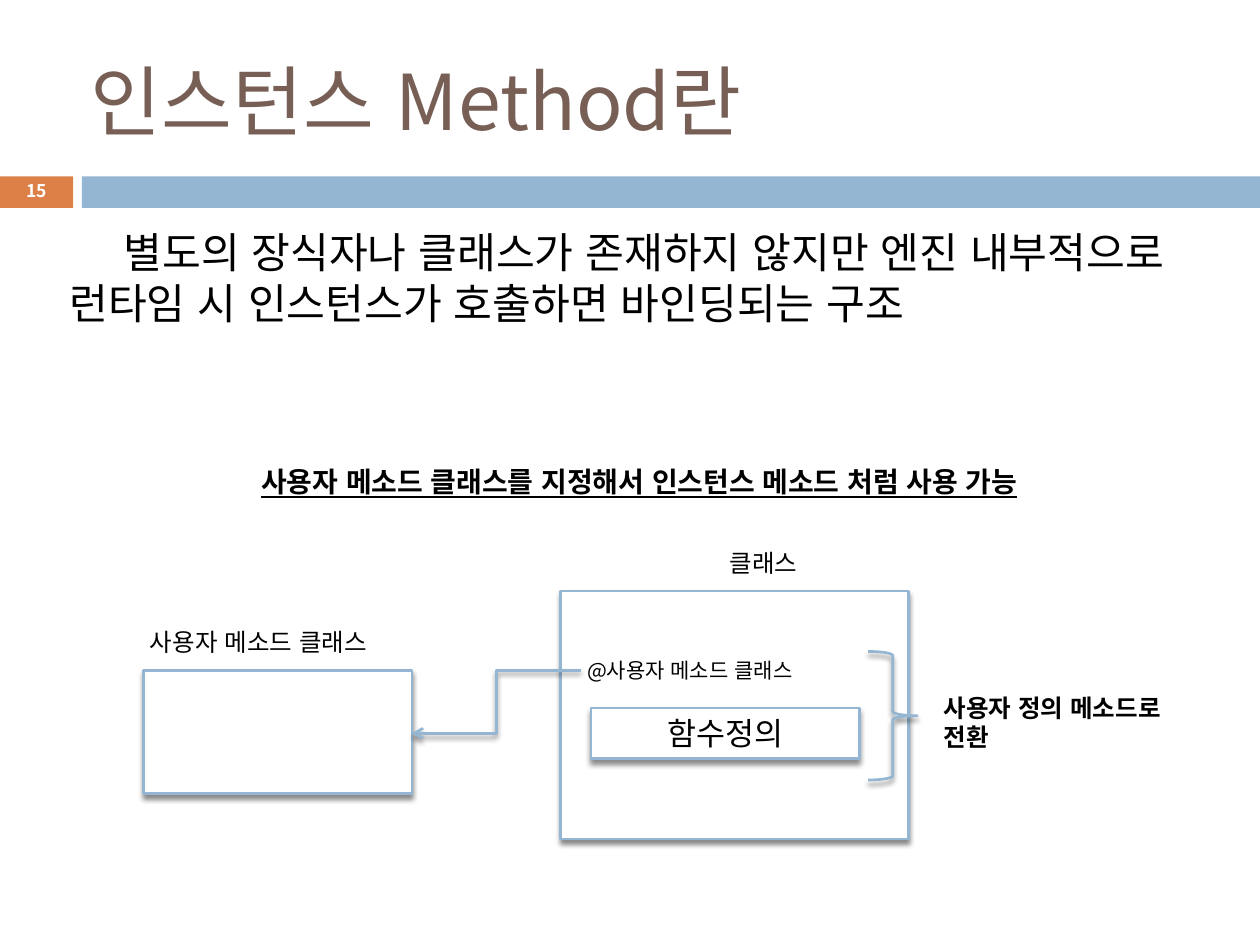
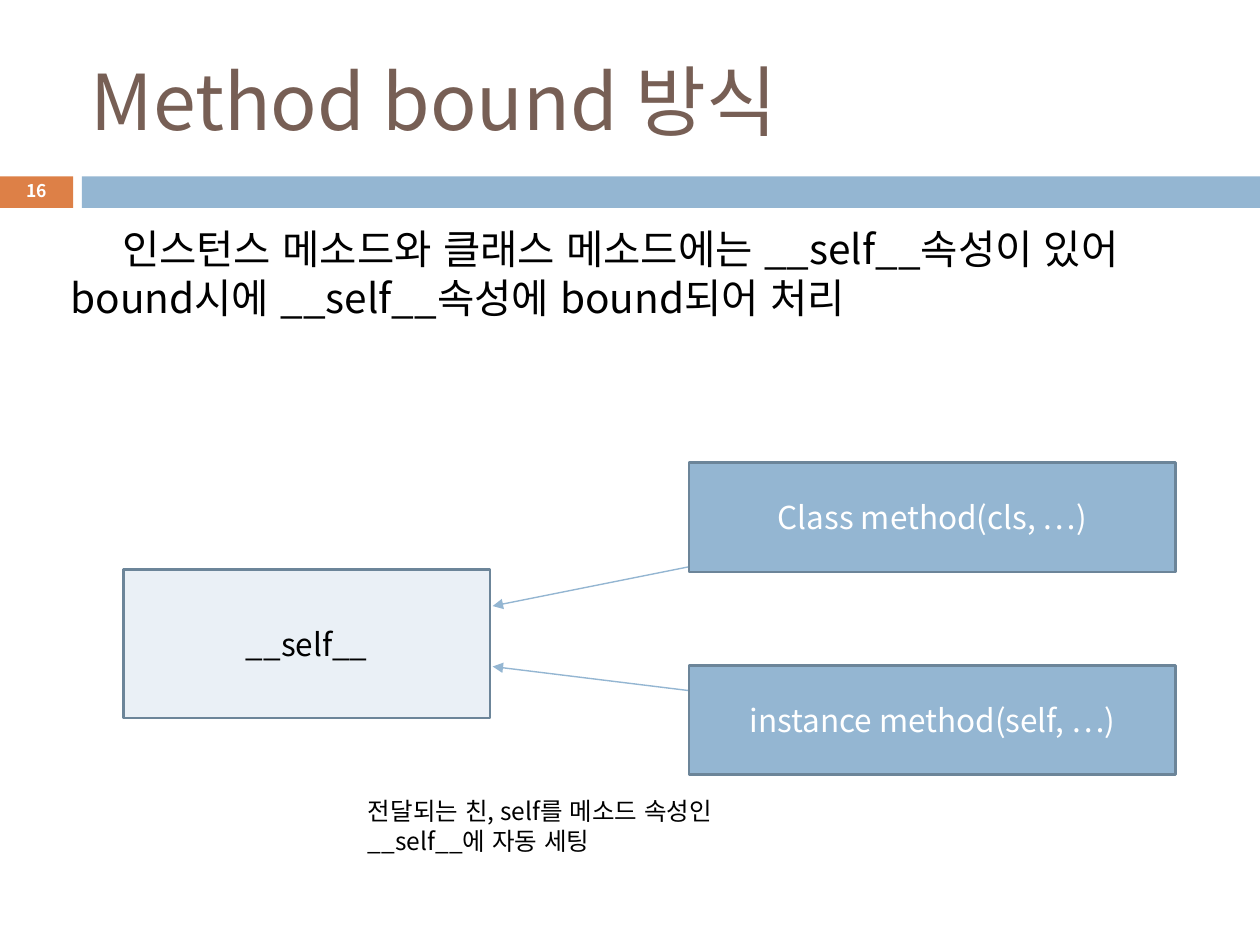
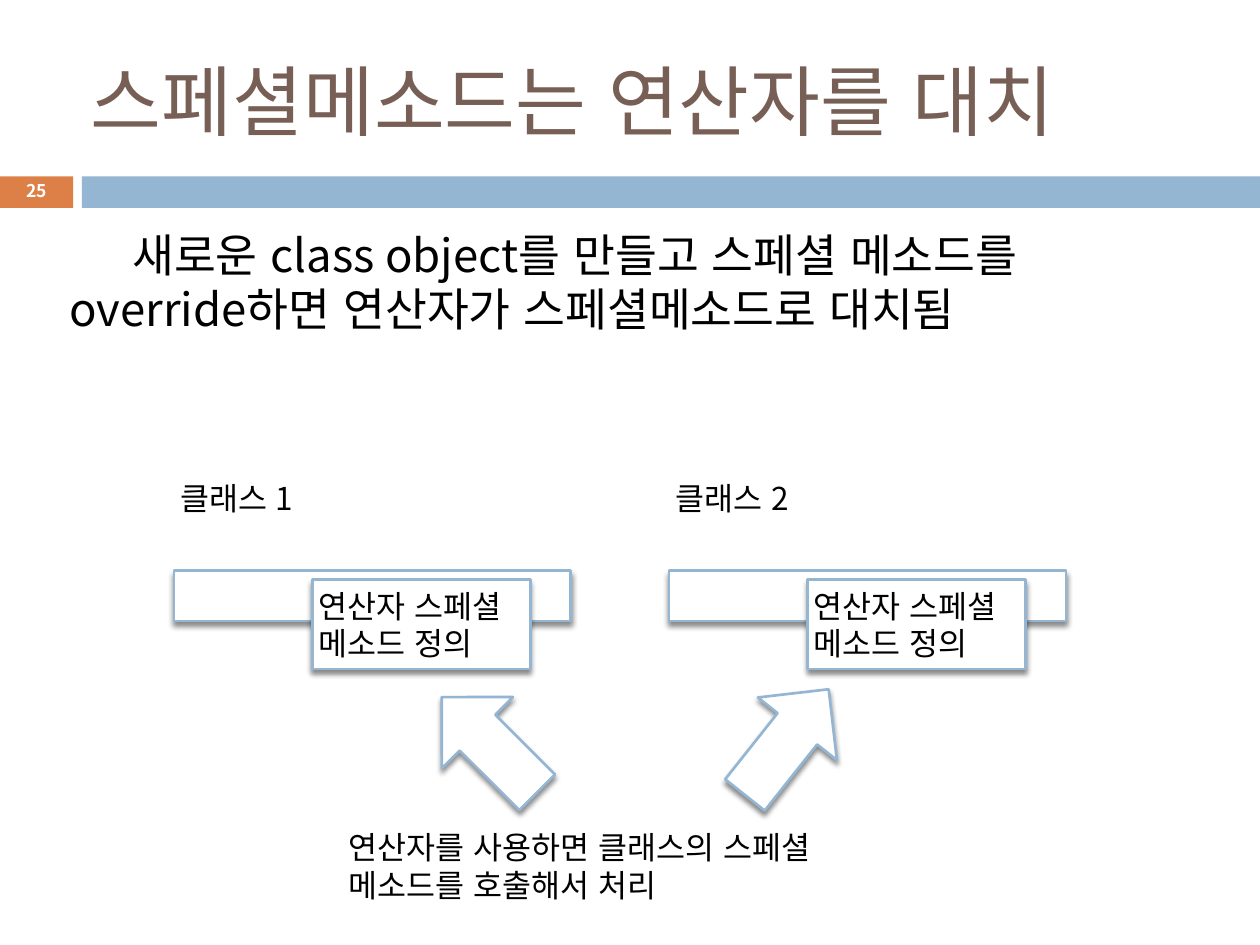
"""Build three slides on instance, bound and special methods."""
from dataclasses import dataclass

from lxml.etree import SubElement
from pptx import Presentation
from pptx.dml.color import RGBColor
from pptx.enum.lang import MSO_LANGUAGE_ID
from pptx.enum.shapes import MSO_CONNECTOR, MSO_SHAPE
from pptx.enum.text import MSO_ANCHOR, MSO_AUTO_SIZE, PP_ALIGN
from pptx.oxml.ns import qn
from pptx.util import Inches, Pt

COLS, ROWS = 100, 75


@dataclass(frozen=True)
class Theme:
    """Colours, fonts and type sizes of the deck."""
    blue: str = "94B6D2"
    edge: str = "6C8599"
    pale: str = "EAF0F6"
    orange: str = "DD8047"
    brown: str = "775F55"
    black: str = "000000"
    white: str = "FFFFFF"
    sans: str = "Noto Sans CJK KR"
    mono: str = "Noto Sans Mono"
    title: float = 44
    large: float = 18
    mid: float = 16
    note: float = 14
    small: float = 12
    number: float = 10
    stroke: float = 1.5
    thin: float = 0.79


THEME = Theme()


def write(frame, text, size=THEME.large, color=THEME.black, font=THEME.sans,
          bold=False, under=False, align=PP_ALIGN.LEFT, anchor=MSO_ANCHOR.TOP,
          wrap=True, indent=0, before=0, leading=1):
    """Put one formatted paragraph into a text frame."""
    frame.auto_size = MSO_AUTO_SIZE.NONE
    frame.word_wrap = wrap
    frame.vertical_anchor = anchor
    frame.margin_left = frame.margin_right = Inches(0.05)
    frame.margin_top = frame.margin_bottom = Inches(0.05)
    para = frame.paragraphs[0]
    para.alignment = align
    para.line_spacing = leading
    para.space_before = Pt(before)
    if indent:
        props = para._p.get_or_add_pPr()
        props.set("marL", "0")
        props.set("indent", str(Inches(indent)))
    run = para.add_run()
    run.text = text
    style = run.font
    style.size, style.bold, style.underline = Pt(size), bold, under
    style.color.rgb = RGBColor.from_string(color)
    style.language_id = MSO_LANGUAGE_ID.KOREAN
    style.name = font
    SubElement(run._r.get_or_add_rPr(), qn("a:ea"), typeface=font)


def shade(shape, on):
    """Replace the theme shadow by a soft drop shadow or by none."""
    effects = SubElement(shape.element.spPr, qn("a:effectLst"))
    if on:
        cast = SubElement(effects, qn("a:outerShdw"), blurRad=str(Pt(3)),
                          dist=str(Pt(2.4)), dir="5400000", rotWithShape="0")
        tint = SubElement(cast, qn("a:srgbClr"), val=THEME.black)
        SubElement(tint, qn("a:alpha"), val="45000")


class Deck:
    """Hold the style and the current slide."""

    def __init__(self, theme):
        """Start an empty deck with the given theme."""
        self.theme = theme
        self.show = Presentation()
        self.show.slide_width, self.show.slide_height = Inches(10), Inches(7.5)
        self.slide = None

    def place(self, col, row, *span):
        """Turn grid columns and rows into lengths."""
        wide, high = self.show.slide_width / COLS, self.show.slide_height / ROWS
        units = (wide, high) * 2
        return [round(n * unit) for n, unit in zip((col, row, *span), units)]

    def start(self, title, number):
        """Add a slide with its title, bands and number."""
        self.slide = self.show.slides.add_slide(self.show.slide_layouts[5])
        self.box(0, 14, 5.8, 2.5, fill=self.theme.orange, line=None, shadow=False)
        self.box(6.5, 14, 93.5, 2.5, fill=self.theme.blue, line=None, shadow=False)
        head = self.slide.shapes.title
        head.left, head.top, head.width, head.height = self.place(6.7, 2.5, 89.2, 10.8)
        write(head.text_frame, title, size=self.theme.title,
              color=self.theme.brown, anchor=MSO_ANCHOR.MIDDLE)
        self.text(number, 1.4, 13.9, 3, 2.7, size=self.theme.number,
                  color=self.theme.white, bold=True, align=PP_ALIGN.CENTER,
                  anchor=MSO_ANCHOR.MIDDLE, wrap=False, leading=0.8)

    def text(self, words, col, row, wide, high, **style):
        """Add a text box."""
        area = self.slide.shapes.add_textbox(*self.place(col, row, wide, high))
        write(area.text_frame, words, **style)

    def box(self, col, row, wide, high, words="", kind=MSO_SHAPE.RECTANGLE,
            fill=THEME.white, line=THEME.blue, shadow=True, turn=0, **style):
        """Add a preset shape, with text in its middle if given."""
        shape = self.slide.shapes.add_shape(kind, *self.place(col, row, wide, high))
        shape.rotation = turn
        if fill:
            shape.fill.solid()
            shape.fill.fore_color.rgb = RGBColor.from_string(fill)
        else:
            shape.fill.background()
        if line:
            shape.line.color.rgb = RGBColor.from_string(line)
            shape.line.width = Pt(self.theme.stroke)
        else:
            shape.line.fill.background()
        shade(shape, shadow)
        if words:
            write(shape.text_frame, words, anchor=MSO_ANCHOR.MIDDLE, **style)

    def arrow(self, start, end, kind=MSO_CONNECTOR.STRAIGHT, tip="triangle",
              width=THEME.thin, shadow=False):
        """Add a connector with an arrowhead at its end."""
        link = self.slide.shapes.add_connector(
            kind, *self.place(*start), *self.place(*end))
        link.line.color.rgb = RGBColor.from_string(self.theme.blue)
        link.line.width = Pt(width)
        SubElement(link.element.spPr.find(qn("a:ln")), qn("a:tailEnd"), type=tip)
        shade(link, shadow)


def instance(deck):
    """Draw the slide on instance methods."""
    theme = deck.theme
    deck.start("인스턴스 Method란", "15")
    deck.text("별도의 장식자나 클래스가 존재하지 않지만 엔진 내부적으로 "
              "런타임 시 인스턴스가 호출하면 바인딩되는 구조",
              5, 17.5, 90, 16.9, size=24.1, indent=0.43, before=4)
    deck.box(11.4, 53.2, 21.3, 9.8)
    deck.text("사용자 메소드 클래스", 11.4, 49.3, 22, 3.4, size=theme.note)
    deck.box(44.5, 46.9, 27.6, 19.7)
    deck.text("클래스", 53.1, 43, 15, 3.4, size=theme.note, align=PP_ALIGN.CENTER)
    deck.box(46.9, 56.2, 21.3, 4, "함수정의", font=theme.mono,
             align=PP_ALIGN.CENTER)
    deck.text("@사용자 메소드 클래스", 46.1, 51.7, 24.4, 3, size=theme.small)
    deck.arrow((46.1, 53.2), (32.7, 58.2), MSO_CONNECTOR.ELBOW, "arrow",
               theme.stroke, shadow=True)
    deck.box(68.9, 51.7, 3.9, 10.2, kind=MSO_SHAPE.RIGHT_BRACE, fill=None)
    deck.text("사용자 정의 메소드로 전환", 74.4, 54.5, 18.9, 5.7,
              size=theme.note, bold=True)
    deck.text("사용자 메소드 클래스를 지정해서 인스턴스 메소드 처럼 사용 가능",
              10.6, 36.4, 80.3, 3.7, size=theme.mid, bold=True, under=True,
              align=PP_ALIGN.CENTER)


def bound(deck):
    """Draw the slide on method binding."""
    theme = deck.theme
    deck.start("Method bound 방식", "16")
    deck.text("인스턴스 메소드와 클래스 메소드에는 __self__속성이 있어 "
              "bound시에 __self__속성에 bound되어 처리",
              5.1, 17.3, 90, 10, size=23.2, indent=0.41, before=4)
    deck.box(9.8, 45.2, 29.1, 11.8, "__self__", fill=theme.pale,
             line=theme.edge, shadow=False, align=PP_ALIGN.CENTER)
    calls = (("Class method(cls, …)", 36.7, 45, 48.1),
             ("instance method(self, …)", 52.8, 54.8, 52.9))
    for words, row, start, end in calls:
        deck.box(54.7, row, 38.6, 8.7, words, fill=theme.blue, line=theme.edge,
                 shadow=False, color=theme.white, align=PP_ALIGN.CENTER)
        deck.arrow((54.6, start), (39.1, end))
    deck.text("전달되는 친, self를 메소드 속성인 __self__에 자동 세팅",
              28.7, 62.7, 33.1, 5.7, size=theme.note)


def special(deck):
    """Draw the slide on special methods."""
    deck.start("스페셜메소드는 연산자를 대치", "25")
    deck.text("새로운 class object를 만들고 스페셜 메소드를 "
              "override하면 연산자가 스페셜메소드로 대치됨",
              5, 17.5, 90, 13.7, size=26, indent=0.5, before=5)
    for name, left in (("클래스 1", 13.8), ("클래스 2", 53.1)):
        deck.box(left, 45.3, 31.5, 4)
        deck.box(left + 11, 46, 17.3, 7.1, "연산자 스페셜 메소드 정의")
        deck.text(name, left, 37.5, 16.5, 4)
    deck.text("연산자를 사용하면 클래스의 스페셜 메소드를 호출해서 처리",
              27.2, 65.2, 45.7, 7.1)
    for col, row, turn in ((57.1, 54.9, 308.4), (33.5, 55.1, 224.9)):
        deck.box(col, row, 10.7, 8, kind=MSO_SHAPE.RIGHT_ARROW, turn=turn)


def main():
    """Build and save the deck."""
    deck = Deck(THEME)
    for draw in (instance, bound, special):
        draw(deck)
    deck.show.save("out.pptx")


if __name__ == "__main__":
    main()
